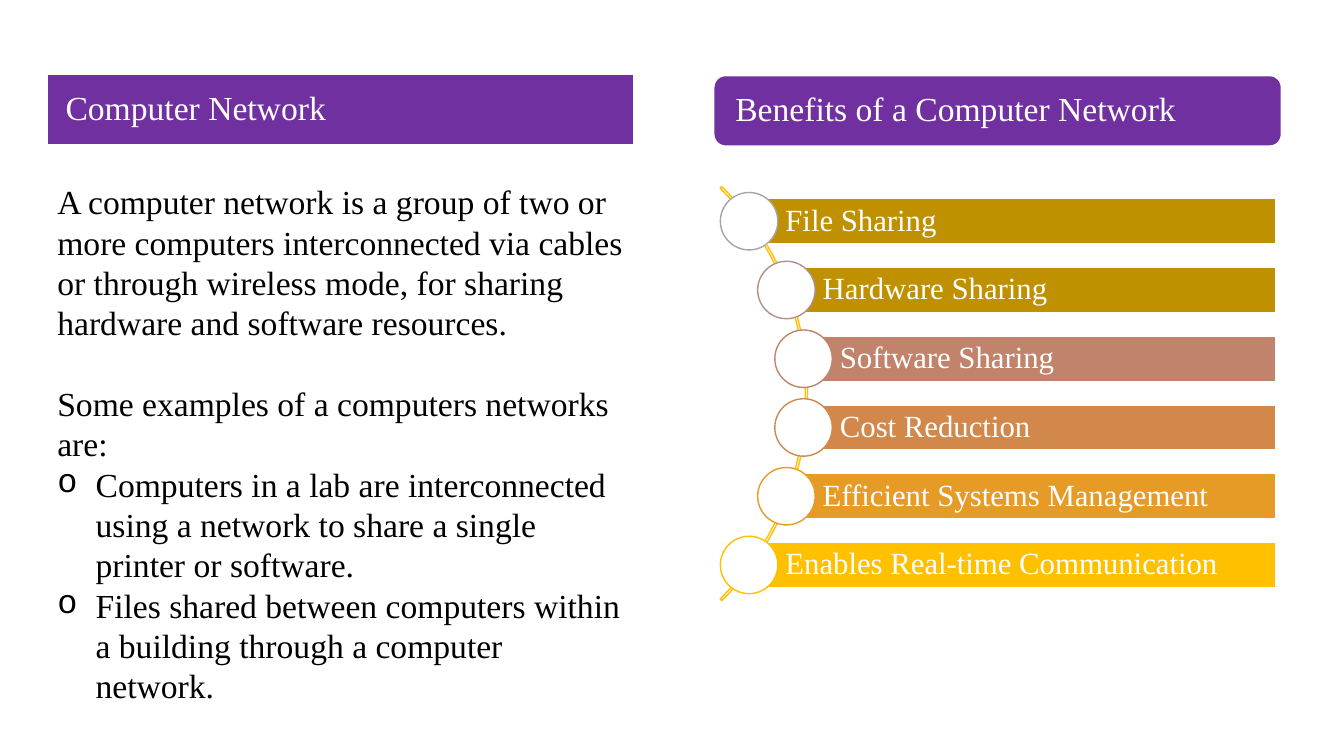
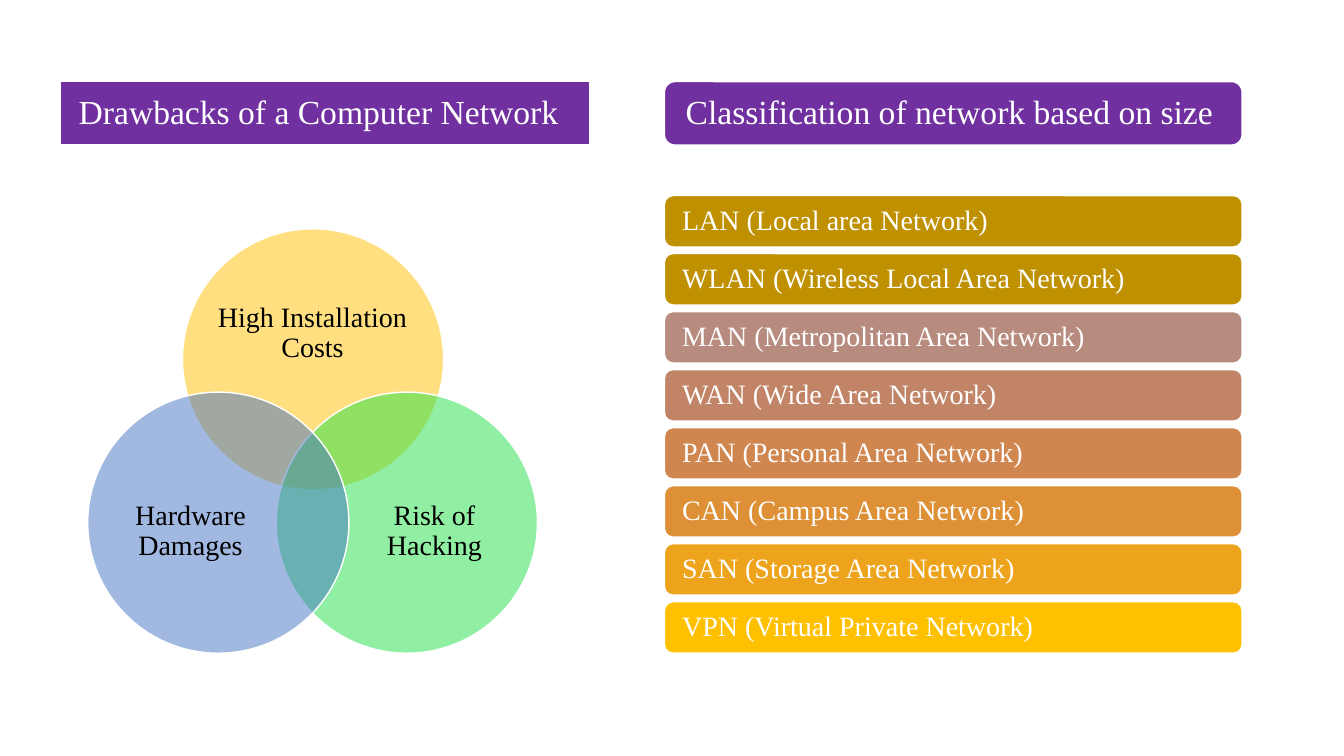
from dataclasses import dataclass

from lxml.etree import SubElement
from pptx import Presentation
from pptx.dml.color import RGBColor
from pptx.enum.shapes import MSO_SHAPE
from pptx.enum.text import MSO_ANCHOR, MSO_AUTO_SIZE, PP_ALIGN
from pptx.oxml import parse_xml
from pptx.oxml.ns import nsdecls, qn
from pptx.util import Inches, Pt


@dataclass(frozen=True)
class Theme:
    font: str = "Times New Roman"
    bullet_font: str = "Courier New"
    heading_fill: str = "7030A0"
    light: str = "FFFFFF"
    dark: str = "000000"
    arc: str = "FFC000"
    heading_size: int = 24
    body_size: int = 24
    benefit_size: int = 22
    label_size: int = 20
    outline: float = 1
    line_spacing: float = 0.9
    hanging: float = 0.38


THEME = Theme()

DEFINITION = (
    "A computer network is a group of two or more computers interconnected via cables "
    "or through wireless mode, for sharing hardware and software resources."
)
EXAMPLES_INTRO = "Some examples of a computers networks are:"
EXAMPLES = (
    "Computers in a lab are interconnected using a network to share a single printer or software.",
    "Files shared between computers within a building through a computer network.",
)
# Text, bar left edge, bar colour, circle outline
BENEFITS = (
    ("File Sharing", 7.43, "BF9000", "A5A5A5"),
    ("Hardware Sharing", 7.8, "BF9000", "B1908A"),
    ("Software Sharing", 7.97, "C1836C", "C1836C"),
    ("Cost Reduction", 7.97, "D2874B", "D2874B"),
    ("Efficient Systems Management", 7.8, "E79B27", "E79B27"),
    ("Enables Real-time Communication", 7.43, "FFC000", "FFC000"),
)
# Text, circle position, colour, label box
DRAWBACKS = (
    ("High Installation Costs", (1.81, 2.27), "FFC000", (2.15, 2.72, 1.9, 1.17)),
    ("Risk of Hacking", (2.74, 3.89), "23E148", (3.53, 4.56, 1.56, 1.43)),
    ("Hardware Damages", (0.87, 3.89), "4472C4", (1.11, 4.56, 1.56, 1.43)),
)
NETWORK_TYPES = (
    ("LAN (Local area Network)", "BF9000"),
    ("WLAN (Wireless Local Area Network)", "BF9000"),
    ("MAN (Metropolitan Area Network)", "B78B7E"),
    ("WAN (Wide Area Network)", "C28467"),
    ("PAN (Personal Area Network)", "CF864F"),
    ("CAN (Campus Area Network)", "DE9037"),
    ("SAN (Storage Area Network)", "EEA31C"),
    ("VPN (Virtual Private Network)", "FFC000"),
)


def inches(box):
    return [Inches(length) for length in box]


def paint(shape, fill, line=THEME.light):
    if fill:
        shape.fill.solid()
        shape.fill.fore_color.rgb = RGBColor.from_string(fill)
    else:
        shape.fill.background()
    shape.line.color.rgb = RGBColor.from_string(line)
    shape.line.width = Pt(THEME.outline)


def add_run(paragraph, text, size, color):
    run = paragraph.add_run()
    run.text = text
    run.font.name = THEME.font
    run.font.size = Pt(size)
    run.font.color.rgb = RGBColor.from_string(color)


def write_label(shape, text, size, color, left_inset, inset=0, alignment=PP_ALIGN.LEFT):
    """Put one vertically centred paragraph into a shape."""
    frame = shape.text_frame
    frame.word_wrap = True
    frame.auto_size = MSO_AUTO_SIZE.NONE
    frame.vertical_anchor = MSO_ANCHOR.MIDDLE
    frame.margin_left = Inches(left_inset)
    frame.margin_right = frame.margin_top = frame.margin_bottom = Inches(inset)
    paragraph = frame.paragraphs[0]
    paragraph.alignment = alignment
    paragraph.line_spacing = THEME.line_spacing
    add_run(paragraph, text, size, color)


def add_figure(slide, kind, box, fill, line=THEME.light):
    shape = slide.shapes.add_shape(kind, *inches(box))
    shape.shadow.inherit = False
    paint(shape, fill, line)
    return shape


def format_heading(shape, text):
    paint(shape, THEME.heading_fill)
    write_label(shape, text, THEME.heading_size, THEME.light, 0.18, 0.05)


def add_title(slide, text, box):
    """Turn the title placeholder into a rounded heading band."""
    title = slide.shapes.title
    title.left, title.top, title.width, title.height = inches(box)
    outline = parse_xml(f'<a:prstGeom {nsdecls("a")} prst="roundRect"><a:avLst/></a:prstGeom>')
    title.element.spPr.append(outline)
    format_heading(title, text)


def add_heading(slide, text, box):
    format_heading(add_figure(slide, MSO_SHAPE.ROUNDED_RECTANGLE, box, THEME.heading_fill), text)


def set_bullet(paragraph):
    properties = paragraph._p.get_or_add_pPr()
    properties.set("marL", str(Inches(THEME.hanging)))
    properties.set("indent", str(-Inches(THEME.hanging)))
    SubElement(properties, qn("a:buFont")).set("typeface", THEME.bullet_font)
    SubElement(properties, qn("a:buChar")).set("char", "o")


def add_definition(slide, box):
    frame = slide.shapes.add_textbox(*inches(box)).text_frame
    frame.word_wrap = True
    add_run(frame.paragraphs[0], DEFINITION, THEME.body_size, THEME.dark)
    intro = frame.add_paragraph()
    intro.space_before = Pt(1.2 * THEME.body_size)
    add_run(intro, EXAMPLES_INTRO, THEME.body_size, THEME.dark)
    for example in EXAMPLES:
        paragraph = frame.add_paragraph()
        set_bullet(paragraph)
        add_run(paragraph, example, THEME.body_size, THEME.dark)


def add_benefits(slide):
    """Bars that start at circles strung along an arc."""
    arc = add_figure(slide, MSO_SHAPE.BLOCK_ARC, (2.2, 1, 5.81, 5.81), None, THEME.arc)
    for index, value in enumerate((189, 27, 0.004)):
        arc.adjustments[index] = value
    first_top, last_top, right = 1.97, 5.38, 12.65
    height, diameter = 0.45, 0.57
    step = (last_top - first_top) / (len(BENEFITS) - 1)
    for index, (text, left, fill, outline) in enumerate(BENEFITS):
        top = first_top + index * step
        bar = add_figure(slide, MSO_SHAPE.RECTANGLE, (left, top, right - left, height), fill)
        write_label(bar, text, THEME.benefit_size, THEME.light, 0.36, 0.06)
        circle_top = top + (height - diameter) / 2
        circle_box = (left - diameter / 2, circle_top, diameter, diameter)
        add_figure(slide, MSO_SHAPE.OVAL, circle_box, THEME.light, outline)


def add_drawbacks(slide):
    """Three overlapping half-transparent circles with labels."""
    diameter = 2.59
    for text, position, fill, label_box in DRAWBACKS:
        circle = add_figure(slide, MSO_SHAPE.OVAL, (*position, diameter, diameter), fill)
        color = circle.element.spPr.find(qn("a:solidFill"))[0]
        SubElement(color, qn("a:alpha")).set("val", "50000")
        label = slide.shapes.add_textbox(*inches(label_box))
        write_label(label, text, THEME.label_size, THEME.dark, 0, alignment=PP_ALIGN.CENTER)


def add_network_types(slide):
    first_top, last_top = 1.94, 5.97
    step = (last_top - first_top) / (len(NETWORK_TYPES) - 1)
    for index, (text, fill) in enumerate(NETWORK_TYPES):
        box = (6.59, first_top + index * step, 5.73, 0.51)
        bar = add_figure(slide, MSO_SHAPE.ROUNDED_RECTANGLE, box, fill)
        write_label(bar, text, THEME.label_size, THEME.light, 0.15, 0.05)


def main():
    presentation = Presentation()
    presentation.slide_width = Inches(13.33)
    presentation.slide_height = Inches(7.5)
    title_only = presentation.slide_layouts[5]

    slide = presentation.slides.add_slide(title_only)
    add_title(slide, "Computer Network", (0.47, 0.74, 5.82, 0.7))
    add_definition(slide, (0.47, 1.75, 5.82, 5.35))
    add_benefits(slide)
    add_heading(slide, "Benefits of a Computer Network", (7.08, 0.75, 5.63, 0.7))

    slide = presentation.slides.add_slide(title_only)
    add_title(slide, "Drawbacks of a Computer Network", (0.6, 0.81, 5.25, 0.63))
    add_drawbacks(slide)
    add_heading(slide, "Classification of network based on size", (6.59, 0.81, 5.73, 0.63))
    add_network_types(slide)

    presentation.save("out.pptx")


if __name__ == "__main__":
    main()
